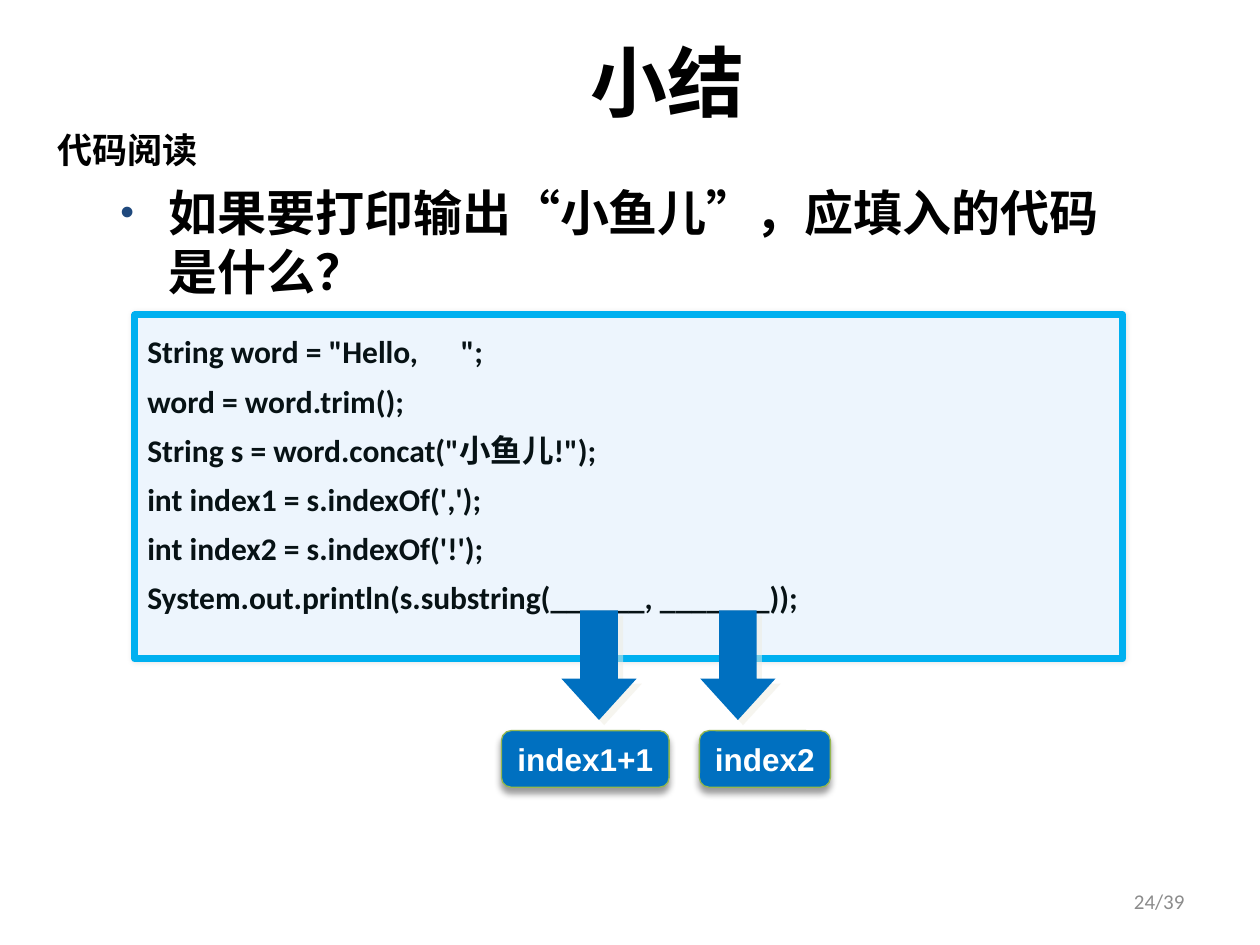
from lxml.etree import SubElement
from pptx import Presentation
from pptx.dml.color import RGBColor
from pptx.enum.shapes import MSO_SHAPE as SHAPE
from pptx.enum.text import MSO_ANCHOR as ANCHOR, MSO_AUTO_SIZE as AUTO, PP_ALIGN as ALIGN
from pptx.oxml.ns import qn
from pptx.util import Cm, Pt

BLACK = RGBColor(0x00, 0x00, 0x00)
WHITE = RGBColor(0xFF, 0xFF, 0xFF)
GREY = RGBColor(0x8C, 0x8C, 0x8C)
CODE_INK = RGBColor(0x07, 0x12, 0x15)
CODE_FILL = RGBColor(0xED, 0xF5, 0xFD)
CODE_LINE = RGBColor(0x00, 0xB0, 0xF0)
BLUE = RGBColor(0x00, 0x70, 0xC0)
GREEN = RGBColor(0x95, 0xB7, 0x4F)
CREAM = RGBColor(0xEE, 0xEC, 0xE1)
NAVY = RGBColor(0x1F, 0x49, 0x7D)
CJK = "Noto Sans CJK SC"

CODE = [
    'String word = "Hello,      ";',
    "word = word.trim();",
    'String s = word.concat("小鱼儿!");',
    "int index1 = s.indexOf(',');",
    "int index2 = s.indexOf('!');",
    "System.out.println(s.substring(______, _______));",
]
# answer text, label left, label width, arrow left (cm)
ANSWERS = [("index1+1", 10.11, 3.38, 10.97), ("index2", 14.1, 2.64, 13.77)]


def apply(obj, fmt):
    """Set each attribute named in fmt."""
    for name, value in fmt.items():
        setattr(obj, name, value)


def add_shadow(effects, color, alpha, blur, dist, angle):
    """Put an outer shadow into an effect list."""
    shadow = SubElement(effects, qn("a:outerShdw"), blurRad=str(Pt(blur)), dist=str(Pt(dist)),
                        dir=str(angle * 60000), algn="ctr", rotWithShape="0")
    clr = SubElement(shadow, qn("a:srgbClr"), val=str(color))
    SubElement(clr, qn("a:alpha"), val=str(alpha * 1000))


def write(sp, lines, size, color, font="Calibri", bold=True, frame=None, para=None):
    """Write one paragraph per line and return the paragraphs."""
    tf = sp.text_frame
    apply(tf, {"word_wrap": True, "vertical_anchor": ANCHOR.TOP, **(frame or {})})
    tf.text = "\n".join(lines)
    for p in tf.paragraphs:
        apply(p, {"alignment": ALIGN.LEFT, **(para or {})})
        r = p.runs[0]
        apply(r.font, {"size": Pt(size), "bold": bold, "name": font})
        r.font.color.rgb = color
        SubElement(r.font._element, qn("a:ea"), typeface=CJK)
    return tf.paragraphs


def add_text(s, box, lines, size, **fmt):
    """Add a text box and return its paragraphs."""
    sp = s.shapes.add_textbox(*map(Cm, box))
    return write(sp, lines, size, **fmt)


def add_box(s, kind, box, adjust, fill, shadow, line=None, width=0):
    """Add a filled preset shape with a shadow."""
    sp = s.shapes.add_shape(kind, *map(Cm, box))
    for i, value in enumerate(adjust):
        sp.adjustments[i] = value
    sp.fill.solid()
    sp.fill.fore_color.rgb = fill
    if line is None:
        sp.line.fill.background()
    else:
        sp.line.color.rgb = line
        sp.line.width = Pt(width)
    sp.shadow.inherit = False
    add_shadow(sp._element.spPr.find(qn("a:effectLst")), *shadow)
    return sp


def hang(p, indent):
    """Give a paragraph a hanging indent and return its properties."""
    pPr = p._p.get_or_add_pPr()
    pPr.set("marL", str(Cm(indent)))
    pPr.set("indent", str(-Cm(indent)))
    return pPr


def add_bullet(p, indent):
    """Give a paragraph a round bullet."""
    pPr = hang(p, indent)
    SubElement(SubElement(pPr, qn("a:buClr")), qn("a:srgbClr"), val=str(NAVY))
    SubElement(pPr, qn("a:buSzPct"), val="80000")
    SubElement(pPr, qn("a:buFont"), typeface="Arial")
    SubElement(pPr, qn("a:buChar"), char="•")


def add_heading(s):
    """Add the section heading with shadowed letters."""
    p, = add_text(s, (0.89, 2.46, 3.38, 1.12), ["代码阅读"], 20, color=BLACK, font=CJK,
                  frame={"word_wrap": False}, para={"alignment": ALIGN.CENTER})
    rPr = p.runs[0].font._element
    effects = SubElement(rPr, qn("a:effectLst"))
    rPr.find(qn("a:solidFill")).addnext(effects)
    add_shadow(effects, BLACK, 40, 4, 3, 90)


def add_code(s):
    """Add the framed code listing."""
    sp = add_box(s, SHAPE.ROUNDED_RECTANGLE, (2.72, 6.35, 19.91, 6.93), [0], CODE_FILL,
                 (BLACK, 10, 3, 0, 0), CODE_LINE, 4)
    write(sp, CODE, 18, CODE_INK, para={"line_spacing": 1.3})


def add_answer(s, text, left, width, arrow_left):
    """Add an arrow from a blank and the label that fills it."""
    arrow = add_box(s, SHAPE.RIGHT_ARROW, (arrow_left, 12.65, 2.21, 1.52), [0.5, 0.55], BLUE,
                    (CREAM, 50, 0, 4.2, 45))
    arrow.rotation = 90
    sp = add_box(s, SHAPE.ROUNDED_RECTANGLE, (left, 14.73, width, 1.14), [0.17], BLUE,
                 (BLACK, 40, 4, 3, 90), GREEN, 0.75)
    p, = write(sp, [text], 18, WHITE, "Arial",
               frame={"word_wrap": False, "vertical_anchor": ANCHOR.BOTTOM,
                      "auto_size": AUTO.SHAPE_TO_FIT_TEXT},
               para={"alignment": ALIGN.CENTER, "space_before": Pt(3.6)})
    hang(p, 0.79)


def main():
    """Build the slide."""
    prs = Presentation()
    apply(prs, {"slide_width": Cm(25.4), "slide_height": Cm(19.05)})
    s = prs.slides.add_slide(prs.slide_layouts[6])
    add_text(s, (2.03, 0.58, 22.86, 2.49), ["小结"], 44, color=BLACK,
             para={"alignment": ALIGN.CENTER})
    add_text(s, (18.21, 17.65, 5.92, 1.02), ["24/39"], 12, color=GREY, bold=False,
             frame={"vertical_anchor": ANCHOR.MIDDLE}, para={"alignment": ALIGN.RIGHT})
    add_code(s)
    for answer in ANSWERS:
        add_answer(s, *answer)
    p, = add_text(s, (2.18, 3.56, 20.29, 2.79), ["如果要打印输出“小鱼儿”，应填入的代码是什么？"],
                  28, color=BLACK, para={"space_before": Pt(5.6)})
    add_bullet(p, 0.97)
    add_heading(s)
    prs.save("out.pptx")


main()
